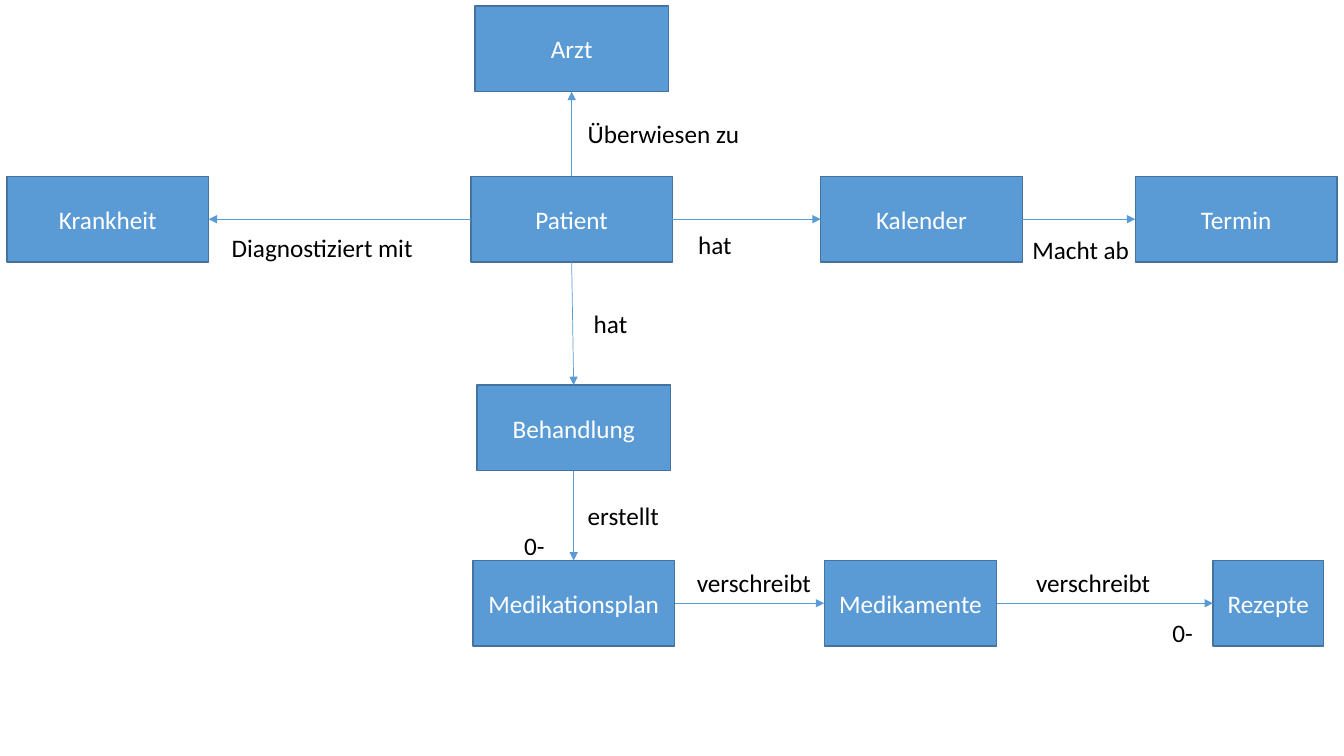
from dataclasses import dataclass
from enum import Enum

from pptx import Presentation
from pptx.dml.color import RGBColor
from pptx.enum.shapes import MSO_CONNECTOR as Line, MSO_SHAPE as Preset
from pptx.enum.text import MSO_ANCHOR as Anchor, MSO_AUTO_SIZE as AutoSize, PP_ALIGN as Align
from pptx.oxml.ns import qn
from pptx.shapes.autoshape import Shape
from pptx.shapes.shapetree import SlideShapes
from pptx.text.text import TextFrame
from pptx.util import Inches, Pt
from lxml.etree import SubElement

BLUE = RGBColor(0x5B, 0x9B, 0xD5)
DARK_BLUE = RGBColor(0x43, 0x73, 0x9E)
WHITE = RGBColor(0xFF, 0xFF, 0xFF)
BLACK = RGBColor(0x00, 0x00, 0x00)

# Grid in inches: centre of each column, top of each row
COLUMNS = (1.07, 5.67, 9.14, 12.26)
ROWS = (0.06, 1.75, 3.82, 5.56)
BOX_HEIGHT = 0.85
LABEL_HEIGHT = 0.4
COUNT_WIDTH = 0.41


class Side(Enum):
    """Start and end connection sites of a link."""
    UP = (0, 2)
    LEFT = (1, 3)
    DOWN = (2, 0)
    RIGHT = (3, 1)


@dataclass(frozen=True)
class Entity:
    name: str
    col: int
    row: int
    width: float = 2
    shift: float = 0  # offset from the column centre


@dataclass(frozen=True)
class Link:
    start: str
    end: str
    side: Side
    label: str
    dx: float  # label offset from the middle of the link
    dy: float
    width: float = 1.89


@dataclass(frozen=True)
class Count:
    entity: str
    text: str
    dx: float  # offset from the entity's top left corner
    dy: float


ENTITIES = (
    Entity("Arzt", 1, 0, 1.92),
    Entity("Krankheit", 0, 1),
    Entity("Patient", 1, 1),
    Entity("Kalender", 2, 1),
    Entity("Termin", 3, 1),
    Entity("Behandlung", 1, 2, 1.92, 0.02),
    Entity("Medikationsplan", 1, 3, shift=0.02),
    Entity("Medikamente", 2, 3, 1.71, -0.11),
    Entity("Rezepte", 3, 3, 1.1, 0.32),
)
LINKS = (
    Link("Patient", "Arzt", Side.UP, "Überwiesen zu", 0.06, -0.21),
    Link("Patient", "Krankheit", Side.LEFT, "Diagnostiziert mit", -1.17, 0.08, 2.33),
    Link("Patient", "Kalender", Side.RIGHT, "hat", -0.58, 0.05),
    Link("Kalender", "Termin", Side.RIGHT, "Macht ab", -0.56, 0.1),
    Link("Patient", "Behandlung", Side.DOWN, "hat", 0.11, -0.2),
    Link("Behandlung", "Medikationsplan", Side.DOWN, "erstellt", 0.04, -0.2),
    Link("Medikationsplan", "Medikamente", Side.RIGHT, "verschreibt", -0.62, -0.41),
    Link("Medikamente", "Rezepte", Side.RIGHT, "verschreibt", -0.78, -0.41),
)
COUNTS = (
    Count("Medikationsplan", "0-", 0.41, -0.35),
    Count("Rezepte", "0-", -0.5, 0.52),
)


def write(tf: TextFrame, text: str, color: RGBColor, align: Align) -> None:
    p = tf.paragraphs[0]
    p.alignment = align
    r = p.add_run()
    r.text = text
    for name, value in {"name": "Calibri", "size": Pt(18)}.items():
        setattr(r.font, name, value)
    r.font.color.rgb = color


def add_entity(shapes: SlideShapes, entity: Entity) -> Shape:
    left = COLUMNS[entity.col] + entity.shift - entity.width / 2
    s = shapes.add_shape(Preset.RECTANGLE, Inches(left), Inches(ROWS[entity.row]),
                         Inches(entity.width), Inches(BOX_HEIGHT))
    s.shadow.inherit = False
    s.fill.solid()
    s.fill.fore_color.rgb = BLUE
    s.line.color.rgb = DARK_BLUE
    s.line.width = Pt(1)
    s.text_frame.vertical_anchor = Anchor.MIDDLE
    write(s.text_frame, entity.name, WHITE, Align.CENTER)
    return s


def add_label(shapes: SlideShapes, text: str, left: int, top: int, width: float) -> None:
    s = shapes.add_textbox(left, top, Inches(width), Inches(LABEL_HEIGHT))
    tf = s.text_frame
    for name, value in {"word_wrap": True, "auto_size": AutoSize.SHAPE_TO_FIT_TEXT}.items():
        setattr(tf, name, value)
    write(tf, text, BLACK, Align.LEFT)


def add_link(shapes: SlideShapes, link: Link, boxes: dict[str, Shape]) -> None:
    """Join two entities with an arrow and label it near its middle."""
    s = shapes.add_connector(Line.STRAIGHT, 0, 0, 0, 0)
    start_site, end_site = link.side.value
    s.begin_connect(boxes[link.start], start_site)
    s.end_connect(boxes[link.end], end_site)
    s.line.color.rgb = BLUE
    s.line.width = Pt(0.5)
    SubElement(s.line._get_or_add_ln(), qn("a:tailEnd"), type="triangle")
    SubElement(s._element.spPr, qn("a:effectLst"))
    add_label(shapes, link.label,
              (s.begin_x + s.end_x) // 2 + Inches(link.dx),
              (s.begin_y + s.end_y) // 2 + Inches(link.dy), link.width)


def main() -> None:
    prs = Presentation()
    prs.slide_width, prs.slide_height = Inches(13.33), Inches(7.5)
    shapes = prs.slides.add_slide(prs.slide_layouts[6]).shapes
    boxes = {entity.name: add_entity(shapes, entity) for entity in ENTITIES}
    for link in LINKS:
        add_link(shapes, link, boxes)
    for count in COUNTS:
        box = boxes[count.entity]
        add_label(shapes, count.text, box.left + Inches(count.dx),
                  box.top + Inches(count.dy), COUNT_WIDTH)
    prs.save("out.pptx")


if __name__ == "__main__":
    main()
